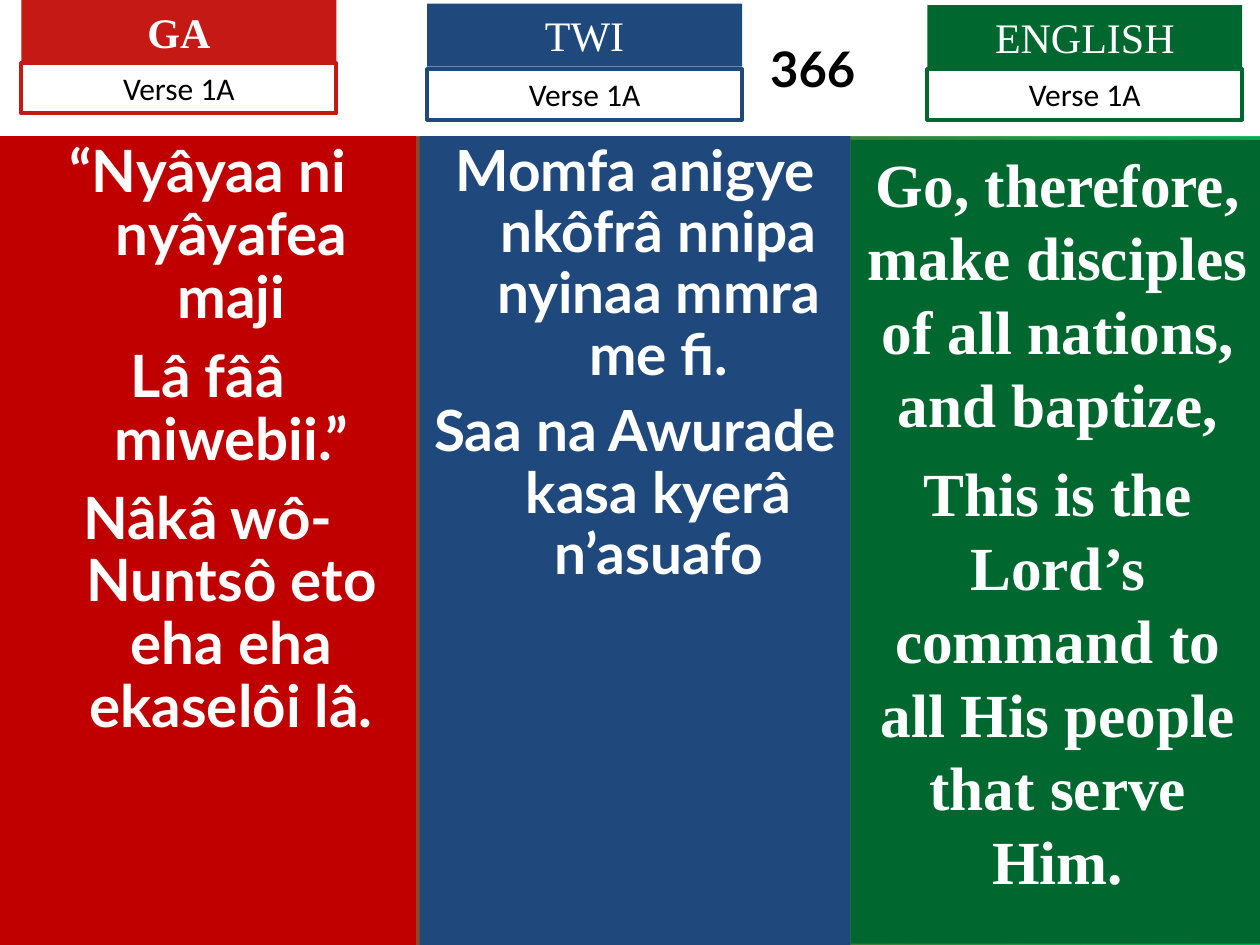
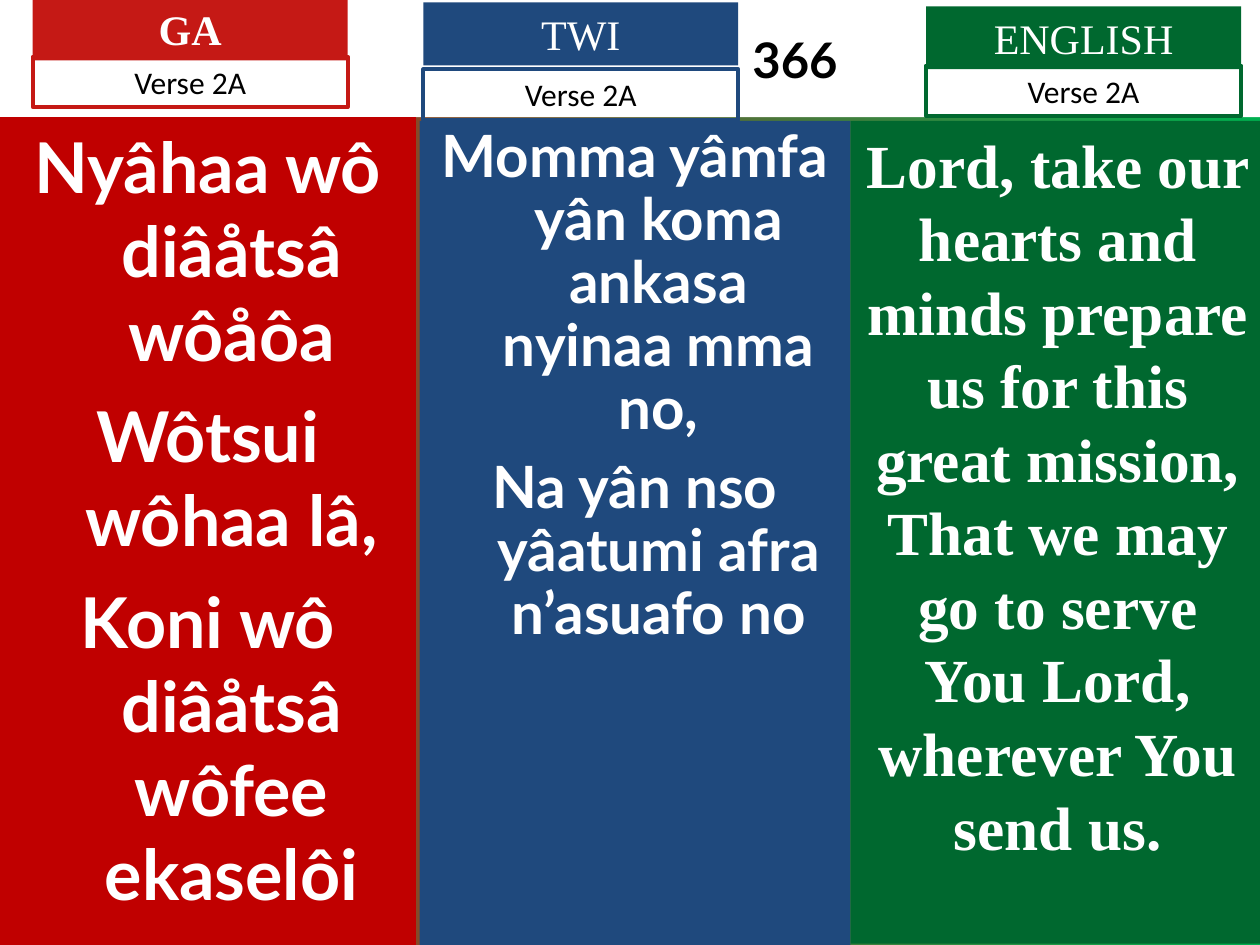
import pptx
import pptx.dml.color
import pptx.enum.text
import pptx.oxml.ns
import pptx.util
from lxml import etree

COLS, ROWS = 100, 75
RED, DEEP_RED, BLUE, GREEN = "C51915", "C00000", "1F497D", "00682F"
BRIGHT_GREEN, WHITE, BLACK = "00B050", "FFFFFF", "000000"
LABEL_W, LABEL_H, VERSE_H = 25, 5, 4
LANGUAGES = [("GA", RED, True), ("TWI", BLUE, False), ("ENGLISH", GREEN, False)]
COLUMNS = [(0, 33, DEEP_RED, "Lato"), (33.3, 34.2, BLUE, "Lato"),
           (67.5, 32.9, GREEN, "Times New Roman")]

SLIDES = [
    {
        "verse": "Verse 1A", "title_h": 10.8, "title_inset": 30,
        "labels": [(1.7, 0, 5), (33.9, 0.3, 5.5), (73.6, 0.4, 5.5)],
        "columns": [
            (10.8, 75, 33.3, 0.9, 9,
             ["“Nyâyaa ni nyâyafea maji", "Lâ fââ miwebii.”",
              "Nâkâ wô-Nuntsô eto eha eha ekaselôi lâ."]),
            (10.8, 75, 32.4, 0.9, 8.8,
             ["Momfa anigye nkôfrâ nnipa nyinaa mmra me fi.",
              "Saa na Awurade kasa kyerâ n’asuafo"]),
            (11.1, 74.9, 35, 1.0, 8.8,
             ["Go, therefore, make disciples of all nations, and baptize,",
              "This is the Lord’s command to all His people that serve Him."]),
        ],
    },
    {
        "verse": "Verse 2A", "title_h": 9.3, "title_inset": 27.2,
        "labels": [(2.6, -0.2, 4.5), (33.6, 0.2, 5.5), (73.5, 0.5, 5.2)],
        "columns": [
            (9.3, 75, 40, 1.0, 10,
             ["Nyâhaa wô diâåtsâ wôåôa", "Wôtsui wôhaa lâ,",
              "Koni wô diâåtsâ wôfee ekaselôi"]),
            (9.6, 75, 33.3, 0.9, 9,
             ["Momma yâmfa yân koma ankasa nyinaa mma no,",
              "Na yân nso yâatumi afra n’asuafo no"]),
            (9.6, 74.9, 35, 1.0, 8.8,
             ["Lord, take our hearts and minds prepare us for this great mission, "
              "That we may go to serve You Lord, wherever You send us."]),
        ],
    },
]


def rgb(value):
    return pptx.dml.color.RGBColor.from_string(value)


class Deck:
    def __init__(self):
        self.prs = pptx.Presentation()
        self.prs.slide_width = pptx.util.Inches(10)
        self.prs.slide_height = pptx.util.Inches(7.5)
        self.slide = None

    def x(self, cols):
        return round(self.prs.slide_width * cols / COLS)

    def y(self, rows):
        return round(self.prs.slide_height * rows / ROWS)

    def add_slide(self):
        self.slide = self.prs.slides.add_slide(self.prs.slide_layouts[3])
        fill = self.slide.background.fill
        fill.gradient()
        fill.gradient_angle = 0
        for stop, color in zip(fill.gradient_stops, (RED, BRIGHT_GREEN)):
            stop.color.rgb = rgb(color)

    def place(self, sp, left, top, width, height, color):
        sp.left, sp.top = self.x(left), self.y(top)
        sp.width, sp.height = self.x(width), self.y(height)
        if color:
            sp.fill.solid()
            sp.fill.fore_color.rgb = rgb(color)
        sp.text_frame.word_wrap = True
        sp.text_frame.auto_size = pptx.enum.text.MSO_AUTO_SIZE.NONE

    def set_text(self, sp, lines, size, font, color=WHITE, bold=False,
                 spacing=1.0, before=0, plain=False):
        tf = sp.text_frame
        for i, line in enumerate(lines):
            p = tf.add_paragraph() if i else tf.paragraphs[0]
            p.text = line
            if plain:
                etree.SubElement(p._p.get_or_add_pPr(), pptx.oxml.ns.qn("a:buNone"))
            p.alignment = pptx.enum.text.PP_ALIGN.CENTER
            p.line_spacing = spacing
            p.space_before = pptx.util.Pt(before if i else 0)
            p.font.size = pptx.util.Pt(size)
            p.font.name = font
            p.font.bold = bold
            p.font.color.rgb = rgb(color)

    def textbox(self):
        return self.slide.shapes.add_textbox(0, 0, 0, 0)

    def title(self, text, height, inset):
        sp = self.slide.shapes.title
        self.place(sp, 0, 0, COLS, height, WHITE)
        sp.text_frame.margin_left = self.x(inset)
        sp.text_frame.vertical_anchor = pptx.enum.text.MSO_ANCHOR.MIDDLE
        self.set_text(sp, [text], 28, "Lato", BLACK, True)

    def column(self, index, top, bottom, size, spacing, before, lines):
        left, width, color, font = COLUMNS[index]
        bodies = list(self.slide.placeholders)[1:]
        in_body = index < len(bodies)
        sp = bodies[index] if in_body else self.textbox()
        self.place(sp, left, top, width, bottom - top, color)
        self.set_text(sp, lines, size, font, WHITE, True, spacing, before, in_body)

    def label(self, language, verse, left, top, verse_top):
        name, color, bold = language
        sp = self.textbox()
        self.place(sp, left, top, LABEL_W, LABEL_H, color)
        self.set_text(sp, [name], 24, "Times New Roman", WHITE, bold)
        sp = self.textbox()
        self.place(sp, left, verse_top, LABEL_W, VERSE_H, None)
        sp.line.color.rgb = rgb(color)
        sp.line.width = pptx.util.Pt(2.25)
        self.set_text(sp, [verse], 18, "Calibri", BLACK)


def main():
    deck = Deck()
    for content in SLIDES:
        deck.add_slide()
        deck.title("366", content["title_h"], content["title_inset"])
        for i, column in enumerate(content["columns"]):
            deck.column(i, *column)
        for language, spot in zip(LANGUAGES, content["labels"]):
            deck.label(language, content["verse"], *spot)
    deck.prs.save("out.pptx")


if __name__ == "__main__":
    main()
